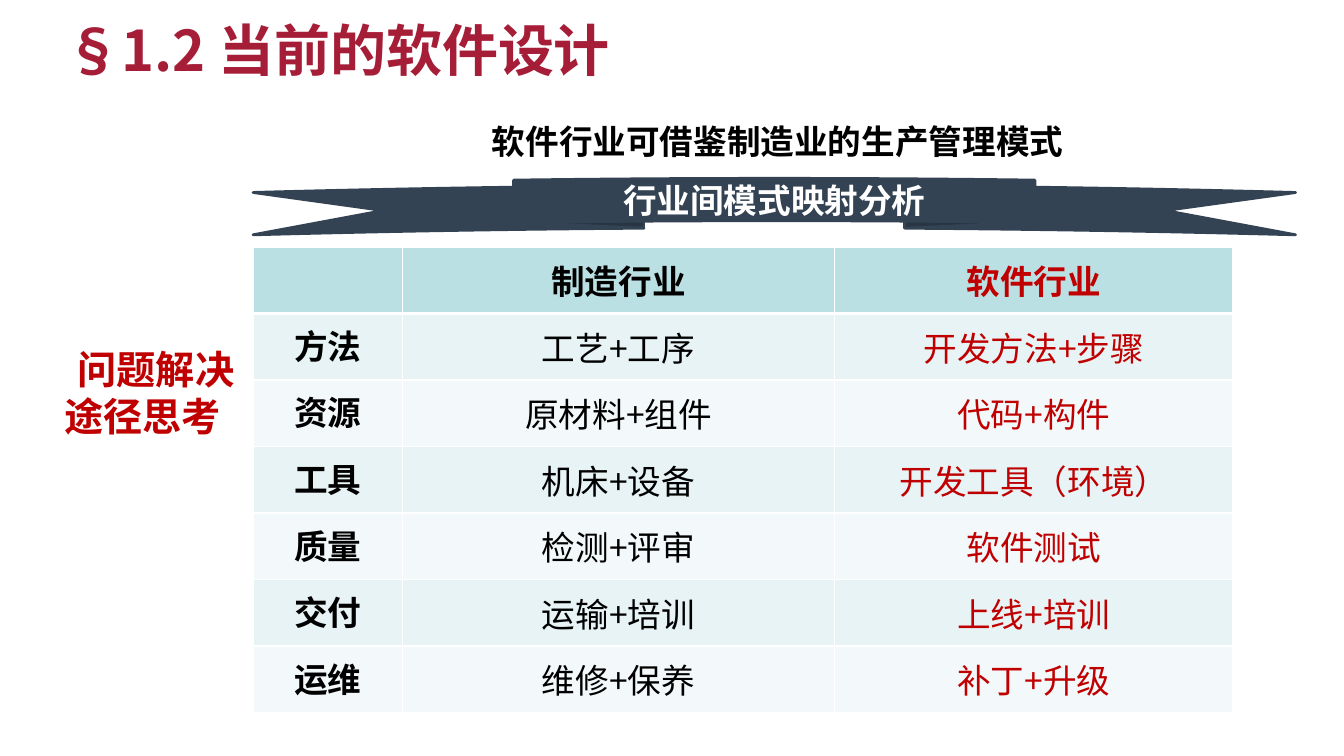
from dataclasses import dataclass

from lxml import etree
from pptx import Presentation
from pptx.dml.color import RGBColor
from pptx.enum.shapes import MSO_SHAPE as Preset
from pptx.enum.text import MSO_ANCHOR as Anchor, PP_ALIGN as Align
from pptx.oxml import parse_xml
from pptx.oxml.ns import nsdecls, qn
from pptx.util import Inches, Pt

SANS = "Noto Sans CJK SC"
BLACK, RED, WHITE, NAVY, CRIMSON = "000000", "C00000", "FFFFFF", "334353", "A61D38"
HEADER_FILL, BAND_FILLS = "BBE0E3", ("E7F3F4", "F3F9FA")


@dataclass(frozen=True)
class Style:
    size: float
    color: str
    font: str = SANS
    bold: bool = True


@dataclass(frozen=True)
class Mapping:
    aspect: str
    manufacturing: str
    software: str


MAPPINGS = [
    Mapping("", "制造行业", "软件行业"),
    Mapping("方法", "工艺+工序", "开发方法+步骤"),
    Mapping("资源", "原材料+组件", "代码+构件"),
    Mapping("工具", "机床+设备", "开发工具（环境）"),
    Mapping("质量", "检测+评审", "软件测试"),
    Mapping("交付", "运输+培训", "上线+培训"),
    Mapping("运维", "维修+保养", "补丁+升级"),
]


def rgb(color: str) -> RGBColor:
    return RGBColor.from_string(color)


def write(paragraph, text: str, style: Style, align=None) -> None:
    """Fill a paragraph and format its runs."""
    paragraph.text = text
    paragraph.alignment = align
    for run in paragraph.runs:
        font = run.font
        font.size, font.bold, font.name = Pt(style.size), style.bold, style.font
        font.color.rgb = rgb(style.color)
        east_asian = etree.SubElement(run._r.get_or_add_rPr(), qn("a:ea"))
        east_asian.set("typeface", SANS)


def add_box(slide, left: float, top: float, width: float, height: float, inset_top=0.05):
    """Add a wrapping text box and return its text frame."""
    box = slide.shapes.add_textbox(Inches(left), Inches(top), Inches(width), Inches(height))
    box.text_frame.word_wrap = True
    box.text_frame.margin_top = Inches(inset_top)
    return box.text_frame


def set_borders(cell, top: float, bottom: float) -> None:
    """Draw white cell borders; side borders are one point wide."""
    sides = {"lnL": 1, "lnR": 1, "lnT": top, "lnB": bottom}
    for position, (tag, width) in enumerate(sides.items()):
        border = parse_xml(
            f'<a:{tag} {nsdecls("a")} w="{Pt(width)}"><a:solidFill>'
            f'<a:srgbClr val="{WHITE}"/></a:solidFill></a:{tag}>'
        )
        cell._tc.get_or_add_tcPr().insert(position, border)


def add_mapping_table(slide) -> None:
    widths, row_height = (1.48, 4.29, 3.95), 0.66
    table = slide.shapes.add_table(
        len(MAPPINGS), len(widths), Inches(2.51), Inches(2.45),
        Inches(sum(widths)), Inches(row_height * len(MAPPINGS)),
    ).table
    for column, width in zip(table.columns, widths):
        column.width = Inches(width)
    for r, mapping in enumerate(MAPPINGS):
        table.rows[r].height = Inches(row_height)
        texts = (mapping.aspect, mapping.manufacturing, mapping.software)
        for c, text in enumerate(texts):
            cell = table.cell(r, c)
            cell.fill.solid()
            cell.fill.fore_color.rgb = rgb(BAND_FILLS[(r - 1) % 2] if r else HEADER_FILL)
            set_borders(cell, top=3 if r == 1 else 1, bottom=3 if r == 0 else 1)
            cell.margin_left = cell.margin_right = Inches(0.13)
            cell.margin_top = cell.margin_bottom = Inches(0.07)
            cell.vertical_anchor = Anchor.MIDDLE if c else Anchor.TOP
            style = Style(24, RED if c == 2 else BLACK, bold=r == 0 or c == 0)
            write(cell.text_frame.paragraphs[0], text, style, Align.CENTER)


def add_ribbon(slide) -> None:
    ribbon = slide.shapes.add_shape(
        Preset.CURVED_UP_RIBBON, Inches(2.51), Inches(1.77), Inches(10.34), Inches(0.56)
    )
    ribbon.shadow.inherit = False
    ribbon.fill.solid()
    ribbon.fill.fore_color.rgb = rgb(NAVY)
    ribbon.line.color.rgb = rgb(NAVY)
    ribbon.line.width = Pt(2)
    ribbon.text_frame.vertical_anchor = Anchor.MIDDLE
    write(ribbon.text_frame.paragraphs[0], "行业间模式映射分析",
          Style(24, WHITE, "Cabin"), Align.CENTER)


def main() -> None:
    prs = Presentation()
    prs.slide_width, prs.slide_height = Inches(13.33), Inches(7.5)
    slide = prs.slides.add_slide(prs.slide_layouts[6])

    # Side note, each line with its own indent
    side_note = add_box(slide, 0.29, 3.36, 2.83, 1.26, inset_top=0.07)
    side_note.margin_left = Inches(0.08)
    lines = (("问题解决", 0.4), ("途径思考", 0.27))
    for i, (text, indent) in enumerate(lines):
        line = side_note.add_paragraph() if i else side_note.paragraphs[0]
        line._p.get_or_add_pPr().set("marL", str(Inches(indent)))
        line.line_spacing = Pt(33.6)
        write(line, text, Style(28, RED))

    # Statement above the ribbon
    statement = add_box(slide, 4.78, 1.15, 7.35, 0.5)
    write(statement.paragraphs[0], "软件行业可借鉴制造业的生产管理模式",
          Style(24, BLACK, "Times New Roman"))

    # Mapping between the two industries
    add_mapping_table(slide)
    add_ribbon(slide)

    # Section heading
    heading = add_box(slide, 0.55, 0.28, 8.01, 0.73, inset_top=0.1).paragraphs[0]
    heading.line_spacing = Pt(32)
    write(heading, "§1.2 当前的软件设计", Style(40, CRIMSON), Align.JUSTIFY)

    prs.save("out.pptx")


if __name__ == "__main__":
    main()
